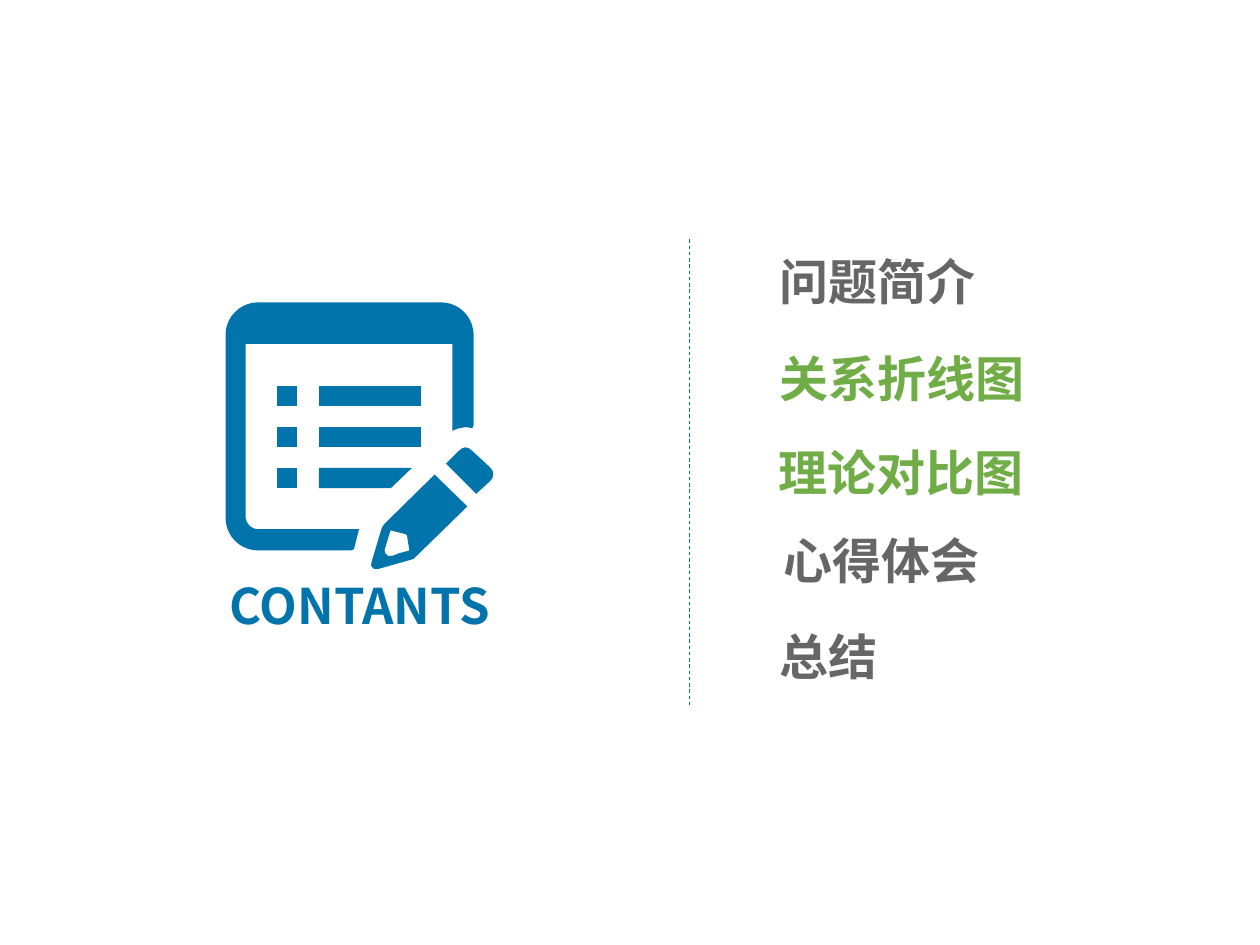
import math

import lxml.etree
import pptx
import pptx.dml.color
import pptx.enum.dml
import pptx.enum.shapes
import pptx.enum.text
import pptx.oxml.ns
import pptx.util

Pt = pptx.util.Pt
BLUE = pptx.dml.color.RGBColor(0x01, 0x74, 0xAB)
GREEN = pptx.dml.color.RGBColor(0x70, 0xAD, 0x47)
GRAY = pptx.dml.color.RGBColor(0x66, 0x66, 0x66)
FONT = "Noto Sans CJK SC"
CENTER = pptx.enum.text.PP_ALIGN.CENTER
LEFT = pptx.enum.text.PP_ALIGN.LEFT

# text, colour, left, top and width within the contents list
ENTRIES = [
    ("问题简介", GRAY, 0.7, 0, 146),
    ("关系折线图", GREEN, 0.7, 55.4, 176.4),
    ("理论对比图", GREEN, 0, 108.7, 201),
    ("心得体会", GRAY, 2.9, 159.1, 146),
    ("总结", GRAY, 0.7, 213.8, 146),
]


def arc(center_x, center_y, radius, start, end, steps=10):
    """Points along an arc; degrees run clockwise from the right."""
    angles = [math.radians(start + (end - start) * step / steps)
              for step in range(steps + 1)]
    return [(center_x + radius * math.cos(angle), center_y + radius * math.sin(angle))
            for angle in angles]


def add_heading(page, text, color, left, top, width, align=LEFT):
    box = page.shapes.add_textbox(Pt(left), Pt(top), Pt(width), Pt(41.2))
    frame = box.text_frame
    frame.word_wrap = True
    frame.auto_size = pptx.enum.text.MSO_AUTO_SIZE.SHAPE_TO_FIT_TEXT
    para = frame.paragraphs[0]
    para.text = text
    para.alignment = align
    para.font.size = Pt(28)
    para.font.bold = True
    para.font.name = FONT
    para.font.color.rgb = color
    # Chinese text takes its face from the East Asian font
    properties = para.font._element
    east_asian = lxml.etree.SubElement(properties, pptx.oxml.ns.qn("a:ea"))
    east_asian.set("typeface", FONT)
    for span in para.runs:
        span.font.name = FONT
        face = lxml.etree.SubElement(span.font._element, pptx.oxml.ns.qn("a:ea"))
        face.set("typeface", FONT)


def add_outline(group, left, top, *contours):
    """Fill closed contours in blue; a second contour cuts a hole."""
    contours = [[(Pt(left + x), Pt(top + y)) for x, y in contour]
                for contour in contours]
    builder = group.shapes.build_freeform(*contours[0][0], scale=1.0)
    builder.add_line_segments(contours[0][1:], close=True)
    for contour in contours[1:]:
        builder.move_to(*contour[0])
        builder.add_line_segments(contour[1:], close=True)
    shape = builder.convert_to_shape()
    shape.shadow.inherit = False
    shape.fill.solid()
    shape.fill.fore_color.rgb = BLUE
    shape.line.fill.background()


def add_notepad_icon(page, left, top):
    group = page.shapes.add_group_shape()
    size, radius = 141.8, 18.7
    far = size - radius
    frame = (
        [(76.3, 129.6), (73.4, 141.1), (71.5, size)]
        + arc(radius, far, radius, 90, 180)
        + arc(radius, radius, radius, 180, 270)
        + arc(far, radius, radius, 270, 360)
        + [(size, 70), (141.1, 71.9), (137.5, 71.3), (133.5, 71.9), (129.6, 73.4),
           (129.6, 23.8), (11.5, 23.8)]
        + arc(18.7, 122.4, 7.2, 180, 90)
    )
    pencil = [(119.5, 98.4), (138.2, 116.6), (109.4, 144.7), (107.3, 146.7),
              (87.1, 152.4), (84.6, 152.2), (83.2, 150.5), (83.5, 148.3),
              (89.3, 128.9), (90.7, 126.7)]
    pencil_tip = [(94.3, 130.3), (90.9, 141.5), (91.2, 143.3), (93, 145),
                  (95.8, 144.7), (99.4, 143.3), (105.1, 141.8), (103.7, 133.2),
                  (103, 132.5)]
    eraser = [(126, 92.2), (133.2, 85), (135.2, 83.4), (137.2, 82.8), (139.2, 83.4),
              (141.1, 85), (151.2, 94.3), (152.6, 96.2), (153, 98.3), (152.6, 100.3),
              (151.2, 102.2), (143.3, 109.4)]
    add_outline(group, left, top, frame)
    add_outline(group, left, top, pencil, pencil_tip)
    add_outline(group, left, top, eraser)

    bar_ends = [(111.6, 111.6), (111.6, 111.6), (106.6, 94.5)]
    for row, (end_above, end_below) in enumerate(bar_ends):
        above = 47.5 + 23.5 * row
        below = above + 11.6
        for start, upper, lower in ((29.5, 41, 41), (53.3, end_above, end_below)):
            add_outline(group, left, top, [(start, above), (upper, above),
                                           (lower, below), (start, below)])


def add_divider(page, x, top, bottom):
    line = page.shapes.add_connector(
        pptx.enum.shapes.MSO_CONNECTOR.STRAIGHT, Pt(x), Pt(top), Pt(x), Pt(bottom))
    line.line.color.rgb = BLUE
    line.line.width = Pt(0.5)
    line.line.dash_style = pptx.enum.dml.MSO_LINE.DASH
    lxml.etree.SubElement(line._element.spPr, pptx.oxml.ns.qn("a:effectLst"))


def add_contents_list(page, left, top):
    for text, color, offset_x, offset_y, width in ENTRIES:
        add_heading(page, text, color, left + offset_x, top + offset_y, width)


def main():
    deck = pptx.Presentation()
    deck.slide_width, deck.slide_height = Pt(720), Pt(540)
    page = deck.slides.add_slide(deck.slide_layouts[6])
    add_divider(page, 393.8, 136.8, 403.2)
    add_contents_list(page, 437.8, 140.4)
    add_notepad_icon(page, 128.9, 172.8)
    add_heading(page, "CONTANTS", BLUE, 100.8, 325.6, 209.5, CENTER)
    deck.save("out.pptx")


if __name__ == "__main__":
    main()
